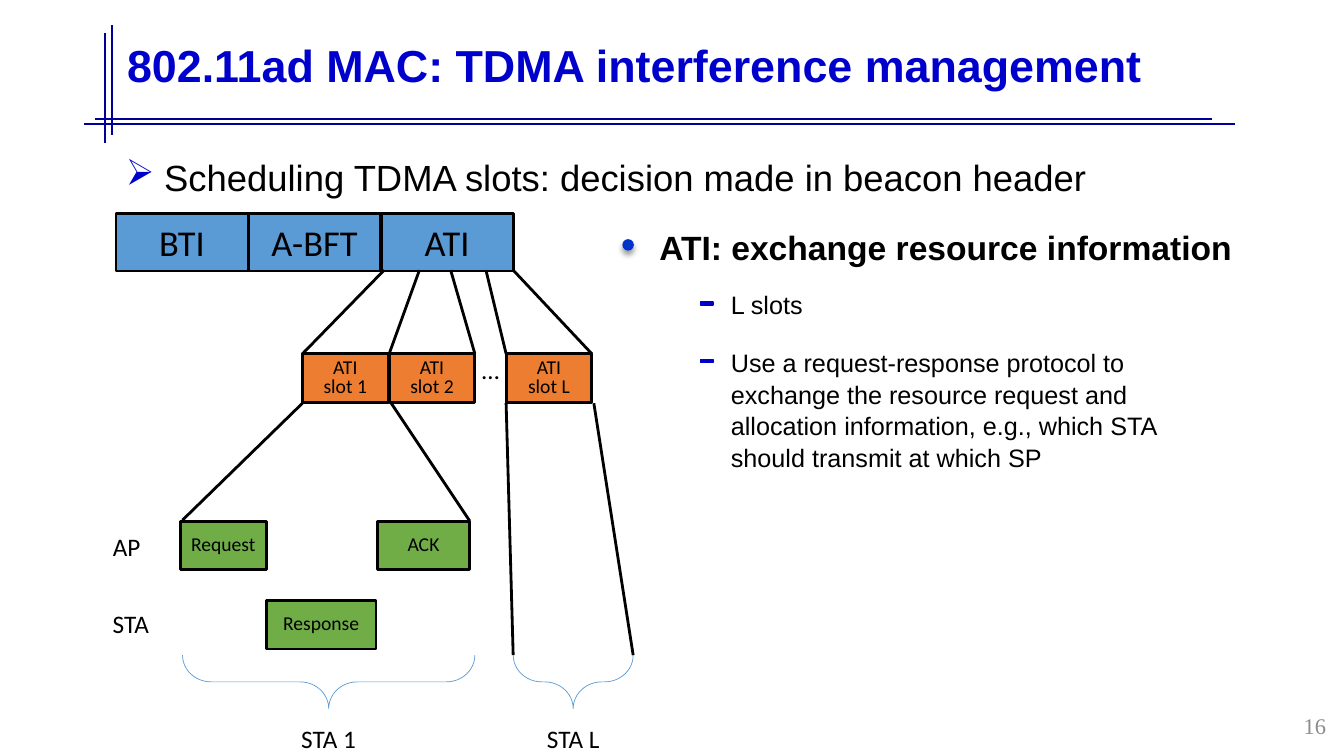
from lxml import etree
from pptx import Presentation
from pptx import util as u
from pptx.dml.color import RGBColor
from pptx.enum import shapes, text
from pptx.oxml import ns

SCALE = 9144  # EMU in one px, 100 px to the inch
KIND = shapes.MSO_SHAPE
MID = text.MSO_ANCHOR.MIDDLE
LEFT, CENTER, RIGHT = (text.PP_ALIGN.LEFT, text.PP_ALIGN.CENTER,
                       text.PP_ALIGN.RIGHT)


class Theme:
    ink, rule, title, dot = "000000", "000099", "0000CC", "0033CC"
    frame, slot, reply, brace, faint = ("5B9BD5", "ED7D31", "70AD47",
                                        "5B9BD5", "8C8C8C")
    sans, body, serif = "Arial", "Calibri", "Times New Roman"
    huge, large, head, base, small, tiny = 32, 26, 24, 18, 14, 16
    thick, edge, thin, hair = 1.75, 2, 1, 0.5


def px(*nums):
    return [u.Emu(round(n * SCALE)) for n in nums]


def rgb(code):
    return RGBColor.from_string(code)


def node(parent, tag, **attrs):
    return etree.SubElement(parent, ns.qn(tag), attrs)


def put(item, **fmt):
    for key, val in fmt.items():
        setattr(item, key, val)


def write(shape, words, size, face, color=Theme.ink, bold=False, frame=None,
          **para):
    """Fill a shape with one formatted paragraph."""
    tf = shape.text_frame
    put(tf, **{"word_wrap": True, **(frame or {})})
    par = tf.paragraphs[0]
    par.text = words
    put(par, **para)
    for run in par.runs:
        put(run.font, size=u.Pt(size), name=face, bold=bold)
        run.font.color.rgb = rgb(color)
    return par


def label(slide, box, words, size=Theme.base, face=Theme.body, **fmt):
    return write(slide.shapes.add_textbox(*px(*box)), words, size, face, **fmt)


def line(slide, start, end, width=Theme.edge, color=Theme.ink):
    part = slide.shapes.add_connector(
        shapes.MSO_CONNECTOR.STRAIGHT, *px(*start, *end))
    part.line.width = u.Pt(width)
    part.line.color.rgb = rgb(color)
    node(part._element.spPr, "a:effectLst")


def block(slide, kind, box, fill=None, edge=Theme.ink, width=Theme.edge):
    part = slide.shapes.add_shape(kind, *px(*box))
    part.shadow.inherit = False
    if fill:
        part.fill.solid()
        part.fill.fore_color.rgb = rgb(fill)
    else:
        part.fill.background()
    part.line.color.rgb = rgb(edge)
    part.line.width = u.Pt(width)
    return part


def cell(slide, box, words, fill, size=Theme.small, **para):
    flat = dict(vertical_anchor=MID, margin_left=0, margin_right=0,
                margin_top=0, margin_bottom=0)
    write(block(slide, KIND.RECTANGLE, box, fill), words, size, Theme.body,
          frame=flat, alignment=CENTER, **para)


def header(slide, x, y):
    # Crossed double rules
    for start, end in [((11, 93), (1119, 93)), ((0, 98), (1142, 98)),
                       ((21, 8), (21, 117)), ((28, 0), (28, 109))]:
        line(slide, (x + start[0], y + start[1]), (x + end[0], y + end[1]),
             Theme.thick, Theme.rule)
    # Title
    title = slide.shapes.title
    left, top, wide, high = px(x + 33, y - 20, 1299, 125)
    put(title, left=left, top=top, width=wide, height=high)
    write(title, "802.11ad MAC: TDMA interference management", Theme.huge,
          Theme.sans, Theme.title, True,
          frame=dict(vertical_anchor=MID, auto_size=text.MSO_AUTO_SIZE.NONE),
          alignment=LEFT, line_spacing=0.9)


def lead(slide, box):
    par = label(slide, box,
                "Scheduling TDMA slots: decision made in beacon header",
                Theme.large, Theme.sans, line_spacing=1.05)
    props = par._p.get_or_add_pPr()
    hang = px(38)[0]
    props.set("marL", str(hang))
    props.set("indent", str(-hang))
    node(node(props, "a:buClr"), "a:srgbClr", val=Theme.title)
    node(props, "a:buChar", char="➢")


def notes(slide, x, y):
    # Main point with a shaded dot
    dot = block(slide, KIND.OVAL, (x, y + 20, 10, 10), Theme.dot, Theme.dot,
                Theme.thin)
    effects = dot._element.spPr.find(ns.qn("a:effectLst"))
    shade = node(effects, "a:outerShdw", blurRad=str(u.Pt(4)),
                 dist=str(u.Pt(3)), dir="5400000", rotWithShape="0")
    node(node(shade, "a:srgbClr", val=Theme.ink), "a:alpha", val="40000")
    label(slide, (x + 26, y, 621, 50), "ATI: exchange resource information",
          Theme.head, Theme.sans, bold=True, line_spacing=1.05)
    # Dashed points
    for down, high, words in [
            (63, 40, "L slots"),
            (120, 131, "Use a request-response protocol to exchange the "
             "resource request and allocation information, e.g., which STA "
             "should transmit at which SP")]:
        block(slide, KIND.RECTANGLE, (x + 77, y + down + 18.5, 12, 3),
              Theme.title, Theme.title, Theme.thin)
        label(slide, (x + 97, y + down, 501, high), words, Theme.base,
              Theme.sans, line_spacing=1.05)


def beacon(slide, x, y):
    # Beacon header
    for i, name in enumerate(["BTI", "A-BFT", "ATI"]):
        cell(slide, (x + i * 131.5, y, 131, 57), name, Theme.frame,
             Theme.large)
    # Fan from the header down to its slots
    for top, low in [(266, 185), (301, 271), (332, 356), (367, 387),
                     (394, 472)]:
        line(slide, (x + top, y + 56), (x + low, y + 139))
    # Slots
    for left, mark in [(185, "1"), (271, "2"), (387, "L")]:
        cell(slide, (x + left, y + 139, 85, 48), f"ATI\vslot {mark}",
             Theme.slot, line_spacing=u.Pt(14))
    label(slide, (x + 353, y + 135, 38, 40), "…", frame=dict(word_wrap=False))


def brace(slide, box, words):
    x, y, wide, high = box
    part = block(slide, KIND.RIGHT_BRACE,
                 (x + (wide - high) / 2, y + (high - wide) / 2, high, wide),
                 edge=Theme.brace, width=Theme.hair)
    part.rotation = 90
    part.adjustments[0] = 0.536
    label(slide, (x + wide / 2 - 165, y + high + 10, 330, 40), words,
          alignment=CENTER)


def exchange(slide, x, y):
    # Lines from the slots
    for top, low, drop in [(198, 79, 116), (286, 364, 117), (400, 407, 250),
                           (487, 526, 250)]:
        line(slide, (x + top, y), (x + low, y + drop))
    # Messages
    for left, down, wide, name in [(77, 117, 85, "Request"),
                                   (162, 196, 109, "Response"),
                                   (272, 117, 92, "ACK")]:
        cell(slide, (x + left, y + down, wide, 48), name, Theme.reply,
             line_spacing=u.Pt(14))
    # Senders
    for down, wide, name in [(122, 48, "AP"), (199, 56, "STA")]:
        label(slide, (x, y + down, wide, 40), name,
              frame=dict(word_wrap=False))
    # Stations
    for left, wide, name in [(79, 290, "STA 1"), (407, 119, "STA L")]:
        brace(slide, (x + left, y + 250, wide, 53), name)


def main():
    deck = Presentation()
    deck.slide_width, deck.slide_height = px(1333, 750)
    slide = deck.slides.add_slide(deck.slide_layouts[5])
    header(slide, 83, 25)
    lead(slide, (115, 147, 1068, 54))
    beacon(slide, 115, 212)
    exchange(slide, 102, 400)
    notes(slide, 618, 218)
    # Page number
    label(slide, (1265, 702, 60, 36), "16", Theme.tiny, Theme.serif,
          color=Theme.faint, frame=dict(vertical_anchor=MID), alignment=RIGHT)
    deck.save("out.pptx")


if __name__ == "__main__":
    main()
